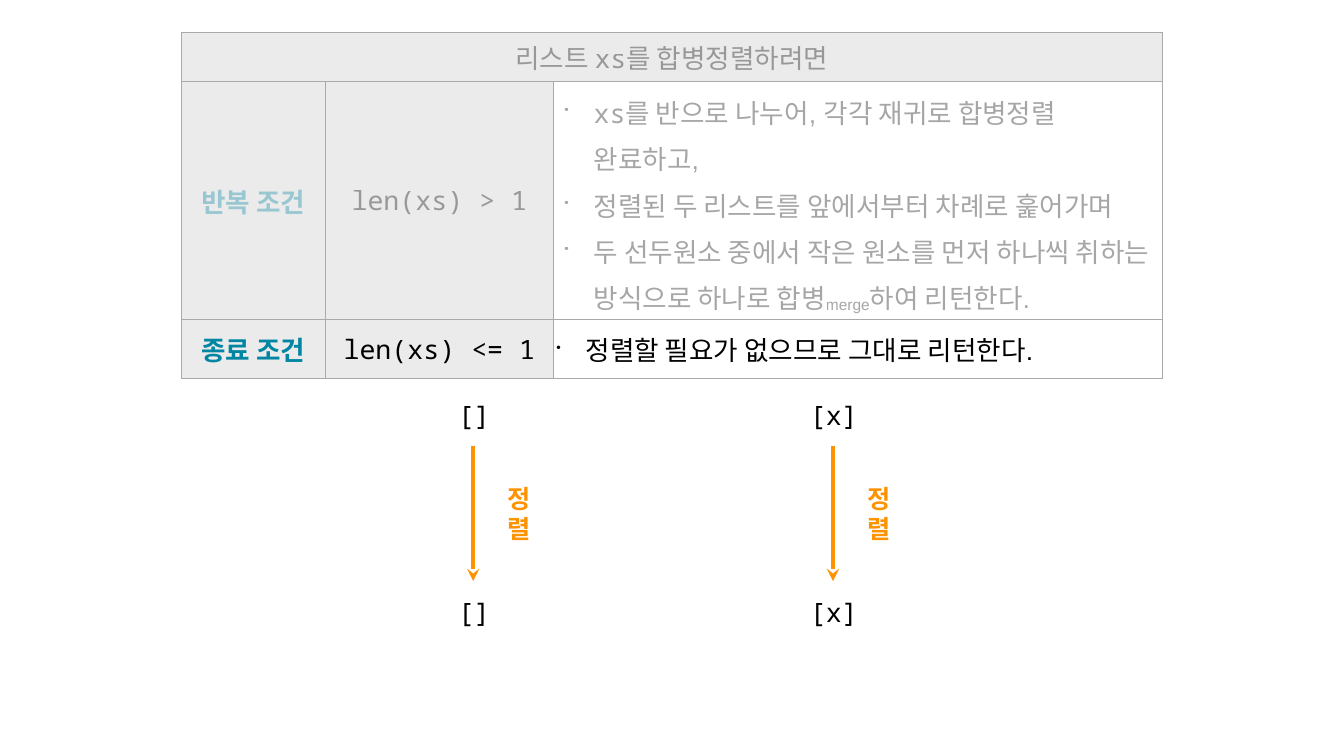
from dataclasses import dataclass

from lxml import etree
from pptx import Presentation
from pptx import util as u
from pptx.dml.color import RGBColor
from pptx.enum import shapes, text
from pptx.oxml.ns import qn

COLUMNS, ROWS = 26.67, 15  # the page grid, in cells one inch wide and high
SANS, MONO, COURIER = "Arial", "Noto Sans Mono", "Courier New"
BLACK, TEAL, ORANGE, GREY, PALE = "000000", "0086A2", "FE9301", "A9A9A9", "EBEBEB"
CENTER = text.PP_ALIGN.CENTER


@dataclass
class Span:
    words: str
    font: str = SANS
    color: str = BLACK
    bold: bool = False
    size: float = 38
    alpha: int = 100
    baseline: int = 0


@dataclass
class Example:
    """A list that sorting leaves as it is, centred on a downward arrow."""
    words: str
    center: float
    left: float
    width: float


def cells(count: float) -> u.Length:
    return u.Inches(count)


def rgb(color: str) -> RGBColor:
    return RGBColor.from_string(color)


def add_child(parent, tag: str, **attributes):
    return etree.SubElement(parent, qn(tag), {k: str(v) for k, v in attributes.items()})


def write(para, spans: list[Span], align=None) -> None:
    para.alignment = align
    for span in spans:
        run = para.add_run()
        run.text = span.words
        run.font.name, run.font.size, run.font.bold = span.font, u.Pt(span.size), span.bold
        run.font.color.rgb = rgb(span.color)
        properties = run.font._element
        if span.alpha < 100:
            add_child(properties.find(".//" + qn("a:srgbClr")), "a:alpha", val=span.alpha * 1000)
        if span.baseline:
            properties.set("baseline", str(span.baseline * 1000))


def add_bullet(para, margin: float, hanging: float = 0.58) -> None:
    properties = para._p.get_or_add_pPr()
    properties.set("marL", str(cells(margin)))
    properties.set("indent", str(-cells(hanging)))
    add_child(properties, "a:buSzPct", val=50000)
    add_child(properties, "a:buChar", char="•")


def format_cell(cell, fill: str | None) -> None:
    cell.vertical_anchor = text.MSO_ANCHOR.MIDDLE
    cell.margin_left = cell.margin_right = cell.margin_top = cell.margin_bottom = cells(0.06)
    properties = cell._tc.get_or_add_tcPr()
    for side in ("a:lnL", "a:lnR", "a:lnT", "a:lnB"):
        line = add_child(properties, side, w=u.Pt(1))
        add_child(add_child(line, "a:solidFill"), "a:srgbClr", val=GREY)
    if fill:
        cell.fill.solid()
        cell.fill.fore_color.rgb = rgb(fill)
    else:
        cell.fill.background()


def write_list(cell, items: list[list[Span]], margin: float, spacing: float | None = None) -> None:
    frame = cell.text_frame
    for index, spans in enumerate(items):
        para = frame.paragraphs[0] if index == 0 else frame.add_paragraph()
        write(para, spans)
        para.line_spacing = spacing
        add_bullet(para, margin)


def add_rules(page) -> None:
    widths, heights = (2.86, 4.52, 12.08), (0.97, 3.44, 1.18)
    table = page.shapes.add_table(len(heights), len(widths), cells(3.6), cells(0.65),
                                  cells(sum(widths)), cells(sum(heights))).table
    table.first_row = table.horz_banding = False
    for column, width in zip(table.columns, widths):
        column.width = cells(width)
    for row, height in zip(table.rows, heights):
        row.height = cells(height)
    for row in range(len(heights)):
        for column in range(len(widths)):
            format_cell(table.cell(row, column), PALE if row == 0 or column < 2 else None)
    table.cell(0, 0).merge(table.cell(0, 2))

    def faded(words: str, font: str = SANS, baseline: int = 0) -> Span:
        return Span(words, font, alpha=34, baseline=baseline)

    centred = {
        (0, 0): [faded("리스트 ", COURIER), faded("xs", MONO), faded("를 합병정렬하려면", COURIER)],
        (1, 0): [Span("반복 조건", color=TEAL, bold=True, alpha=35)],
        (1, 1): [faded("len(xs) > 1", MONO)],
        (2, 0): [Span("종료 조건", color=TEAL, bold=True)],
        (2, 1): [Span("len(xs) <= 1", MONO)],
    }
    for (row, column), spans in centred.items():
        write(table.cell(row, column).text_frame.paragraphs[0], spans, CENTER)

    write_list(table.cell(1, 2), [
        [faded("xs", MONO), faded("를 반으로 나누어, 각각 재귀로 합병정렬 완료하고,")],
        [faded("정렬된 두 리스트를 앞에서부터 차례로 훑어가며")],
        [faded("두 선두원소 중에서 작은 원소를 먼저 하나씩 취하는 방식으로 하나로 합병"),
         faded("merge", baseline=-6), faded("하여 리턴한다.")],
    ], margin=0.74, spacing=1.2)
    write_list(table.cell(2, 2), [[Span("정렬할 필요가 없으므로 그대로 리턴한다.")]], margin=0.58)


def add_label(page, span: Span, left: float, top: float, width: float, height: float,
              align=None) -> None:
    box = page.shapes.add_textbox(cells(left), cells(top), cells(width), cells(height))
    frame = box.text_frame
    frame.word_wrap = False
    frame.auto_size = text.MSO_AUTO_SIZE.SHAPE_TO_FIT_TEXT
    frame.vertical_anchor = text.MSO_ANCHOR.MIDDLE
    frame.margin_left = frame.margin_right = frame.margin_top = frame.margin_bottom = cells(0.08)
    write(frame.paragraphs[0], [span], align)


def add_arrow(page, x: float, top: float, bottom: float) -> None:
    arrow = page.shapes.add_connector(shapes.MSO_CONNECTOR.STRAIGHT,
                                      cells(x), cells(top), cells(x), cells(bottom))
    arrow.line.color.rgb = rgb(ORANGE)
    arrow.line.width = u.Pt(6)
    add_child(arrow.line._get_or_add_ln(), "a:tailEnd", type="stealth")
    add_child(arrow._element.spPr, "a:effectLst")


def add_example(page, example: Example) -> None:
    for top in (7.84, 11.76):
        add_label(page, Span(example.words, MONO), example.left, top, example.width, 0.78)
    add_arrow(page, example.center, 8.85, 11.53)
    add_label(page, Span("정렬", color=ORANGE, bold=True, size=36),
              example.center + 0.4, 9.81, 1.04, 0.75, CENTER)


def main() -> None:
    deck = Presentation()
    deck.slide_width, deck.slide_height = cells(COLUMNS), cells(ROWS)
    page = deck.slides.add_slide(deck.slide_layouts[6])
    add_rules(page)
    for example in (Example("[]", 9.39, 9.01, 0.81), Example("[x]", 16.53, 15.99, 1.12)):
        add_example(page, example)
    deck.save("out.pptx")


if __name__ == "__main__":
    main()
